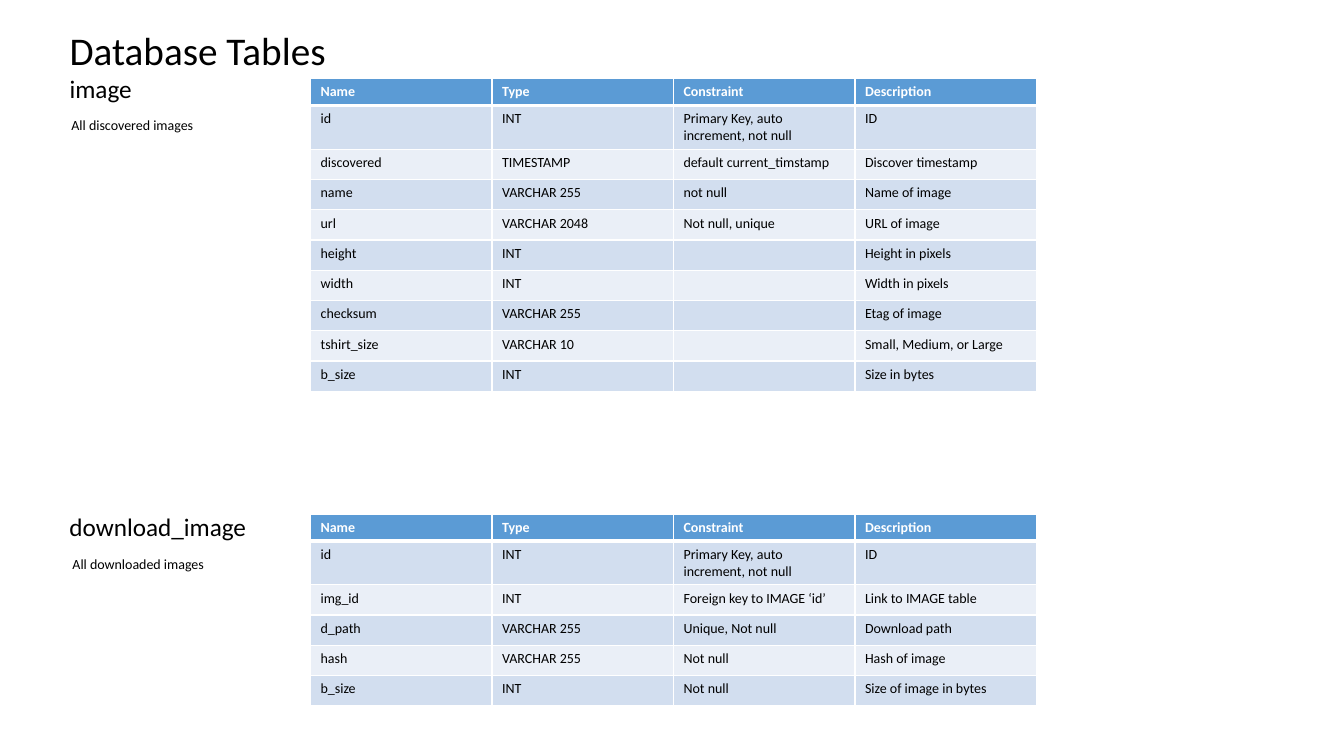
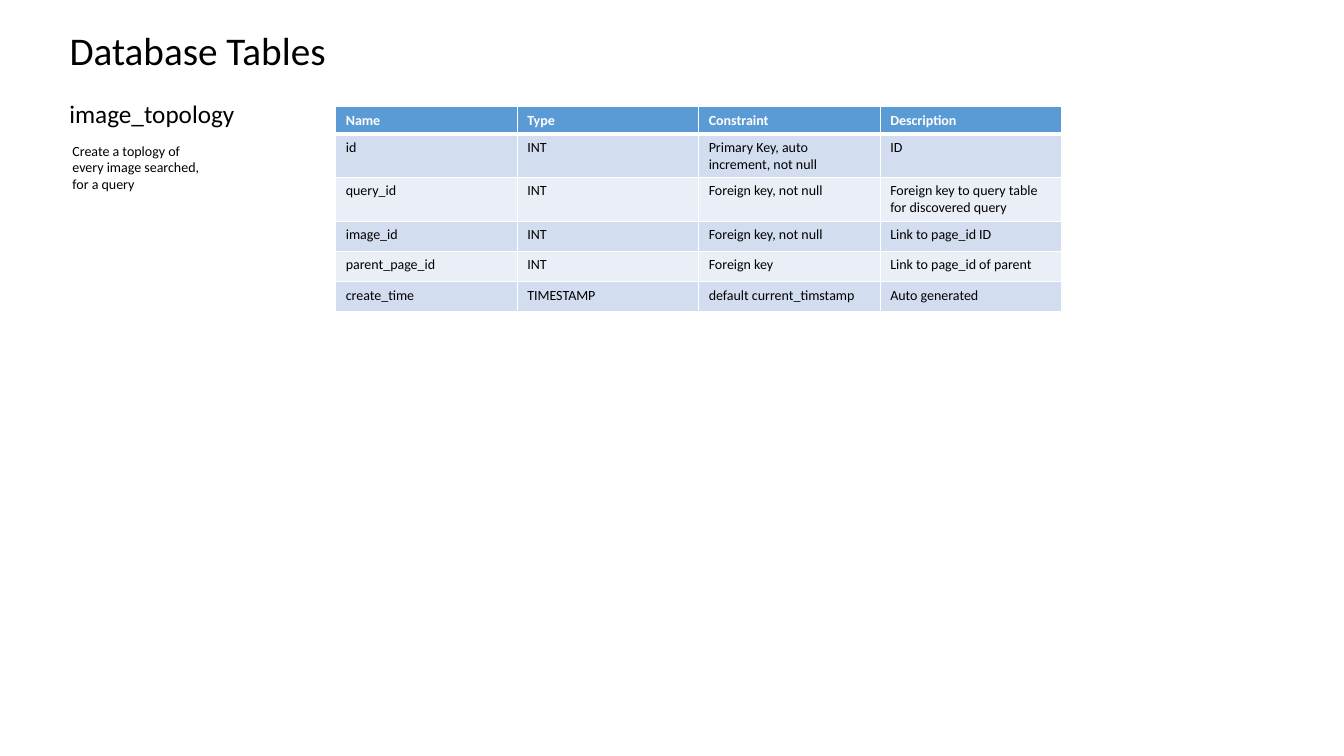
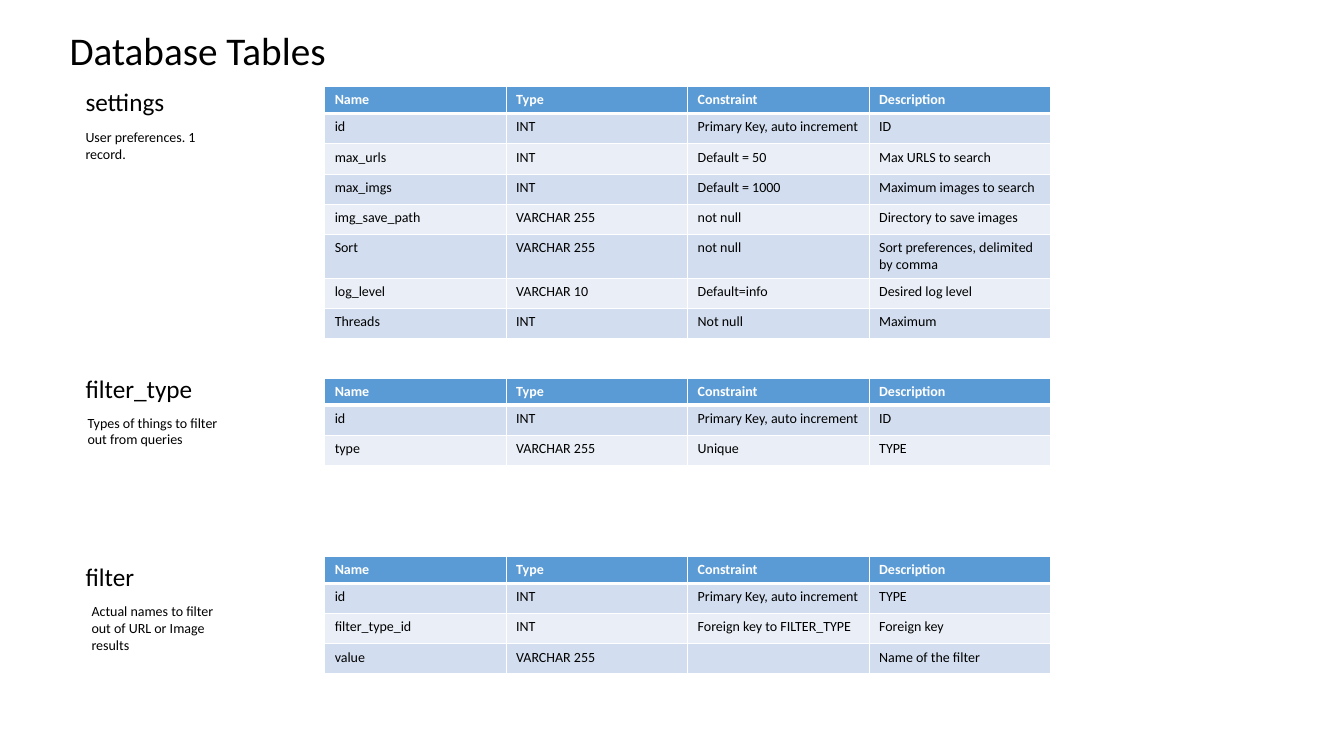
"""Build three slides that document database tables."""
from pptx import Presentation
from pptx import util as u
from pptx.dml import color
from pptx.enum import text
from pptx.oxml import xmlchemy

COLORS = {"text": "000000", "white": "FFFFFF", "header": "5B9BD5",
          "odd": "D2DEEF", "even": "EAEFF7"}
FONT = "Calibri"
STYLES = {
    "title": {"name": FONT, "size": u.Pt(28), "bold": False},
    "heading": {"name": FONT, "size": u.Pt(18), "bold": False},
    "body": {"name": FONT, "size": u.Pt(10), "bold": False},
    "header": {"name": FONT, "size": u.Pt(10), "bold": True},
}
FRAME = {"auto_size": text.MSO_AUTO_SIZE.SHAPE_TO_FIT_TEXT,
         "vertical_anchor": text.MSO_ANCHOR.TOP}
COLUMNS = ("Name", "Type", "Constraint", "Description")
COLUMN_WIDTH, HEADER_HEIGHT, ROW_HEIGHT = 1.8, 0.25, 0.3
KEY = "Primary Key, auto increment"

IMAGE = [
    ("id", "INT", KEY + ", not null", "ID"),
    ("discovered", "TIMESTAMP", "default current_timstamp", "Discover timestamp"),
    ("name", "VARCHAR 255", "not null", "Name of image"),
    ("url", "VARCHAR 2048", "Not null, unique", "URL of image"),
    ("height", "INT", "", "Height in pixels"),
    ("width", "INT", "", "Width in pixels"),
    ("checksum", "VARCHAR 255", "", "Etag of image"),
    ("tshirt_size", "VARCHAR 10", "", "Small, Medium, or Large"),
    ("b_size", "INT", "", "Size in bytes"),
]
DOWNLOAD_IMAGE = [
    ("id", "INT", KEY + ", not null", "ID"),
    ("img_id", "INT", "Foreign key to IMAGE ‘id’", "Link to IMAGE table"),
    ("d_path", "VARCHAR 255", "Unique, Not null", "Download path"),
    ("hash", "VARCHAR 255", "Not null", "Hash of image"),
    ("b_size", "INT", "Not null", "Size of image in bytes"),
]
IMAGE_TOPOLOGY = [
    ("id", "INT", KEY + ", not null", "ID"),
    ("query_id", "INT", "Foreign key, not null",
     "Foreign key to query table for discovered query"),
    ("image_id", "INT", "Foreign key, not null", "Link to page_id ID"),
    ("parent_page_id", "INT", "Foreign key", "Link to page_id of parent"),
    ("create_time", "TIMESTAMP", "default current_timstamp", "Auto generated"),
]
SETTINGS = [
    ("id", "INT", KEY, "ID"),
    ("max_urls", "INT", "Default = 50", "Max URLS to search"),
    ("max_imgs", "INT", "Default = 1000", "Maximum images to search"),
    ("img_save_path", "VARCHAR 255", "not null", "Directory to save images"),
    ("Sort", "VARCHAR 255", "not null", "Sort preferences, delimited by comma"),
    ("log_level", "VARCHAR 10", "Default=info", "Desired log level"),
    ("Threads", "INT", "Not null", "Maximum"),
]
FILTER_TYPE = [
    ("id", "INT", KEY, "ID"),
    ("type", "VARCHAR 255", "Unique", "TYPE"),
]
FILTER = [
    ("id", "INT", KEY, "TYPE"),
    ("filter_type_id", "INT", "Foreign key to FILTER_TYPE", "Foreign key"),
    ("value", "VARCHAR 255", "", "Name of the filter"),
]


def rgb(name):
    return color.RGBColor.from_string(COLORS[name])


def set_values(target, values):
    for name, value in values.items():
        setattr(target, name, value)


def place(shape, left, top, width, height):
    box = zip(("left", "top", "width", "height"), (left, top, width, height))
    set_values(shape, {name: u.Inches(value) for name, value in box})


def write(paragraph, content, style, font_color="text"):
    paragraph.alignment = text.PP_ALIGN.LEFT
    run = paragraph.add_run()
    run.text = content
    set_values(run.font, STYLES[style])
    run.font.color.rgb = rgb(font_color)


def add_slide(presentation, height, heading=None):
    slide = presentation.slides.add_slide(presentation.slide_layouts[5])
    title = slide.shapes.title
    place(title, 0.59, 0.21, 11.6, height)
    frame = title.text_frame
    set_values(frame, {**FRAME, "word_wrap": True})
    write(frame.paragraphs[0], "Database Tables", "title")
    if heading:
        write(frame.add_paragraph(), heading, "heading")
    return slide


def add_text(slide, content, style, box, wrap):
    shape = slide.shapes.add_textbox(*map(u.Inches, box))
    set_values(shape.text_frame, {**FRAME, "word_wrap": wrap})
    write(shape.text_frame.paragraphs[0], content, style)


def add_heading(slide, content, left, top, width):
    add_text(slide, content, "heading", (left, top, width, 0.4), False)


def add_note(slide, content, left, top, height):
    add_text(slide, content, "body", (left, top, 1.52, height), True)


def add_child(parent, tag, **attributes):
    child = xmlchemy.OxmlElement(tag)
    for name, value in attributes.items():
        child.set(name, value)
    parent.append(child)
    return child


def set_borders(cell, top, bottom):
    properties = cell._tc.get_or_add_tcPr()
    for side, points in (("L", 1), ("R", 1), ("T", top), ("B", bottom)):
        line = add_child(properties, "a:ln" + side, w=str(u.Pt(points)))
        add_child(add_child(line, "a:solidFill"), "a:srgbClr", val=COLORS["white"])


def fill_cell(cell, content, row):
    set_borders(cell, 3 if row == 1 else 1, 3 if row == 0 else 1)
    fill = "header" if row == 0 else "odd" if row % 2 else "even"
    cell.fill.solid()
    cell.fill.fore_color.rgb = rgb(fill)
    paragraph = cell.text_frame.paragraphs[0]
    if not content:
        add_child(paragraph._p, "a:endParaRPr", sz="1000")
    elif row == 0:
        write(paragraph, content, "header", "white")
    else:
        write(paragraph, content, "body")


def add_field_table(slide, fields, left, top):
    rows = [COLUMNS, *fields]
    height = HEADER_HEIGHT + ROW_HEIGHT * len(fields)
    box = (left, top, COLUMN_WIDTH * len(COLUMNS), height)
    table = slide.shapes.add_table(
        len(rows), len(COLUMNS), *map(u.Inches, box)).table
    for column in table.columns:
        column.width = u.Inches(COLUMN_WIDTH)
    for index, values in enumerate(rows):
        table.rows[index].height = u.Inches(ROW_HEIGHT if index else HEADER_HEIGHT)
        for column, content in enumerate(values):
            fill_cell(table.cell(index, column), content, index)


def main():
    presentation = Presentation()
    set_values(presentation, {"slide_width": u.Inches(13.33),
                              "slide_height": u.Inches(7.5)})

    slide = add_slide(presentation, 2.56, "image")
    add_field_table(slide, IMAGE, 3.08, 0.78)
    add_field_table(slide, DOWNLOAD_IMAGE, 3.08, 5.1)
    add_heading(slide, "download_image", 0.59, 5.02, 2)
    add_note(slide, "All discovered images", 0.61, 1.11, 0.27)
    add_note(slide, "All downloaded images", 0.62, 5.46, 0.27)

    slide = add_slide(presentation, 2.26)
    add_field_table(slide, IMAGE_TOPOLOGY, 3.33, 1.06)
    add_heading(slide, "image_topology", 0.59, 0.93, 1.86)
    add_note(slide, "Create a toplogy of every image searched, for a query",
             0.62, 1.36, 0.61)

    slide = add_slide(presentation, 2.26)
    for fields, top in ((SETTINGS, 0.86), (FILTER_TYPE, 3.75), (FILTER, 5.52)):
        add_field_table(slide, fields, 3.22, top)
    add_heading(slide, "settings", 0.75, 0.81, 1)
    add_heading(slide, "filter_type", 0.75, 3.65, 1.31)
    add_heading(slide, "filter", 0.75, 5.52, 0.69)
    add_note(slide, "User preferences. 1 record.", 0.75, 1.23, 0.44)
    add_note(slide, "Types of things to filter out from queries", 0.77, 4.06, 0.44)
    add_note(slide, "Actual names to filter out of URL or Image results",
             0.81, 5.93, 0.61)

    presentation.save("out.pptx")


main()
